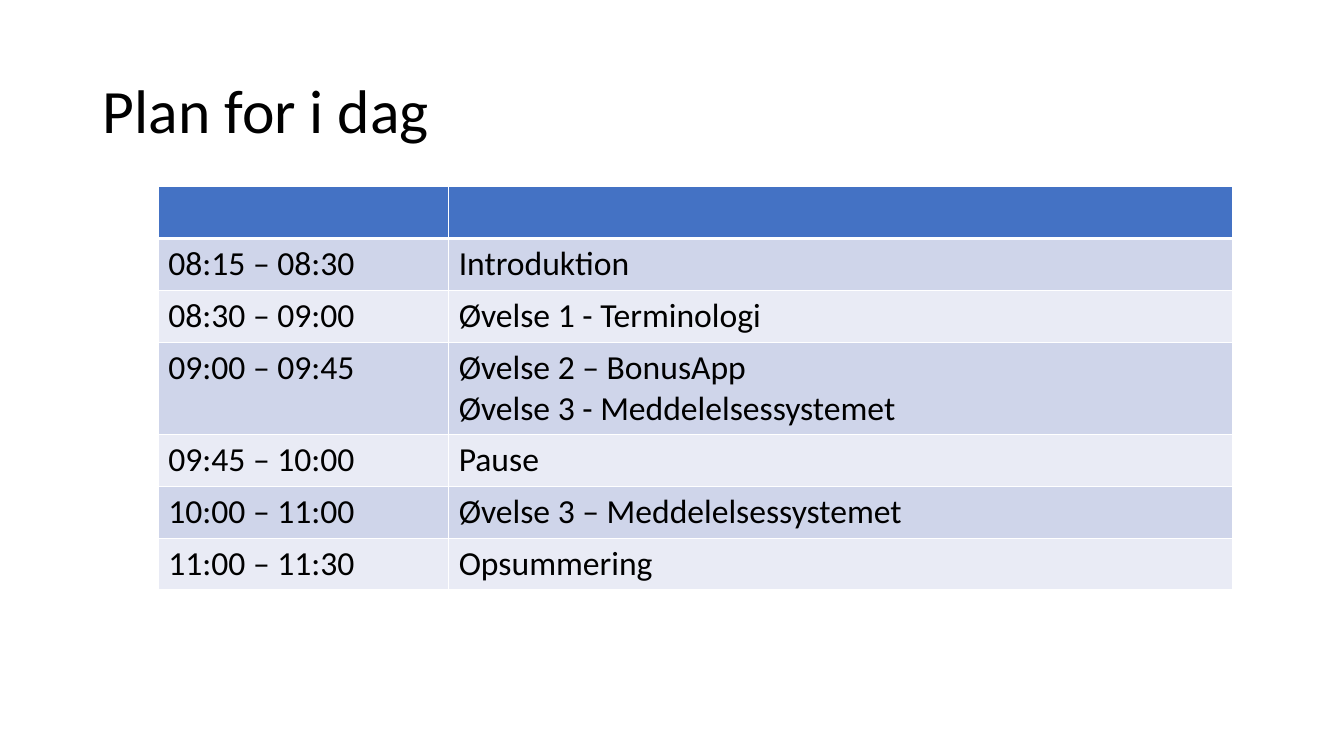
from lxml import etree
from pptx import Presentation
from pptx.dml.color import RGBColor
from pptx.enum.text import MSO_ANCHOR, PP_ALIGN
from pptx.oxml.ns import qn
from pptx.util import Inches, Pt

LEFT = PP_ALIGN.LEFT
MIDDLE = MSO_ANCHOR.MIDDLE

BLACK = RGBColor(0x00, 0x00, 0x00)
WHITE = RGBColor(0xFF, 0xFF, 0xFF)
HEADER_BLUE = RGBColor(0x44, 0x72, 0xC4)
BAND_DARK = RGBColor(0xCF, 0xD5, 0xEA)
BAND_LIGHT = RGBColor(0xE9, 0xEB, 0xF5)

FONT = "Calibri"
TITLE_ONLY_LAYOUT = 5
COLUMN_WIDTHS = (2.88, 7.78)
ROW_HEIGHT = 0.515
TWO_LINE_HEIGHT = 0.91

AGENDA = [
    ("", ""),
    ("08:15 – 08:30", "Introduktion"),
    ("08:30 – 09:00", "Øvelse 1 - Terminologi"),
    ("09:00 – 09:45", "Øvelse 2 – BonusApp\nØvelse 3 - Meddelelsessystemet"),
    ("09:45 – 10:00", "Pause"),
    ("10:00 – 11:00", "Øvelse 3 – Meddelelsessystemet"),
    ("11:00 – 11:30", "Opsummering"),
]


def write_text(frame, text, size=24, color=BLACK, line_spacing=None):
    frame.text = text
    for paragraph in frame.paragraphs:
        paragraph.alignment = LEFT
        paragraph.line_spacing = line_spacing
        paragraph.font.name = FONT
        paragraph.font.size = Pt(size)
        paragraph.font.color.rgb = color


def set_borders(cell, top=1, bottom=1):
    properties = cell._tc.get_or_add_tcPr()
    widths = {"a:lnL": 1, "a:lnR": 1, "a:lnT": top, "a:lnB": bottom}
    for position, (side, width) in enumerate(widths.items()):
        border = etree.Element(qn(side), w=str(Pt(width)))
        fill = etree.SubElement(border, qn("a:solidFill"))
        etree.SubElement(fill, qn("a:srgbClr"), val=str(WHITE))
        properties.insert(position, border)


def add_title(slide, text):
    title = slide.shapes.title
    title.left, title.top = Inches(0.92), Inches(0.4)
    title.width, title.height = Inches(11.5), Inches(1.45)
    title.text_frame.vertical_anchor = MIDDLE
    write_text(title.text_frame, text, size=44, line_spacing=0.9)


def row_color(row):
    if row == 0:
        return HEADER_BLUE
    return BAND_DARK if row % 2 else BAND_LIGHT


def add_agenda(slide, entries):
    agenda = slide.shapes.add_table(
        len(entries), len(COLUMN_WIDTHS), Inches(1.57), Inches(1.85),
        Inches(sum(COLUMN_WIDTHS)), Inches(3.99),
    ).table
    for column, width in zip(agenda.columns, COLUMN_WIDTHS):
        column.width = Inches(width)
    for row, entry in enumerate(entries):
        height = TWO_LINE_HEIGHT if "\n" in entry[1] else ROW_HEIGHT
        agenda.rows[row].height = Inches(height)
        for column, text in enumerate(entry):
            cell = agenda.cell(row, column)
            write_text(cell.text_frame, text)
            cell.fill.solid()
            cell.fill.fore_color.rgb = row_color(row)
            set_borders(cell, top=3 if row == 1 else 1, bottom=3 if row == 0 else 1)


def main():
    presentation = Presentation()
    presentation.slide_width = Inches(13.33)
    presentation.slide_height = Inches(7.5)
    slide = presentation.slides.add_slide(presentation.slide_layouts[TITLE_ONLY_LAYOUT])
    add_title(slide, "Plan for i dag")
    add_agenda(slide, AGENDA)
    presentation.save("out.pptx")


if __name__ == "__main__":
    main()
